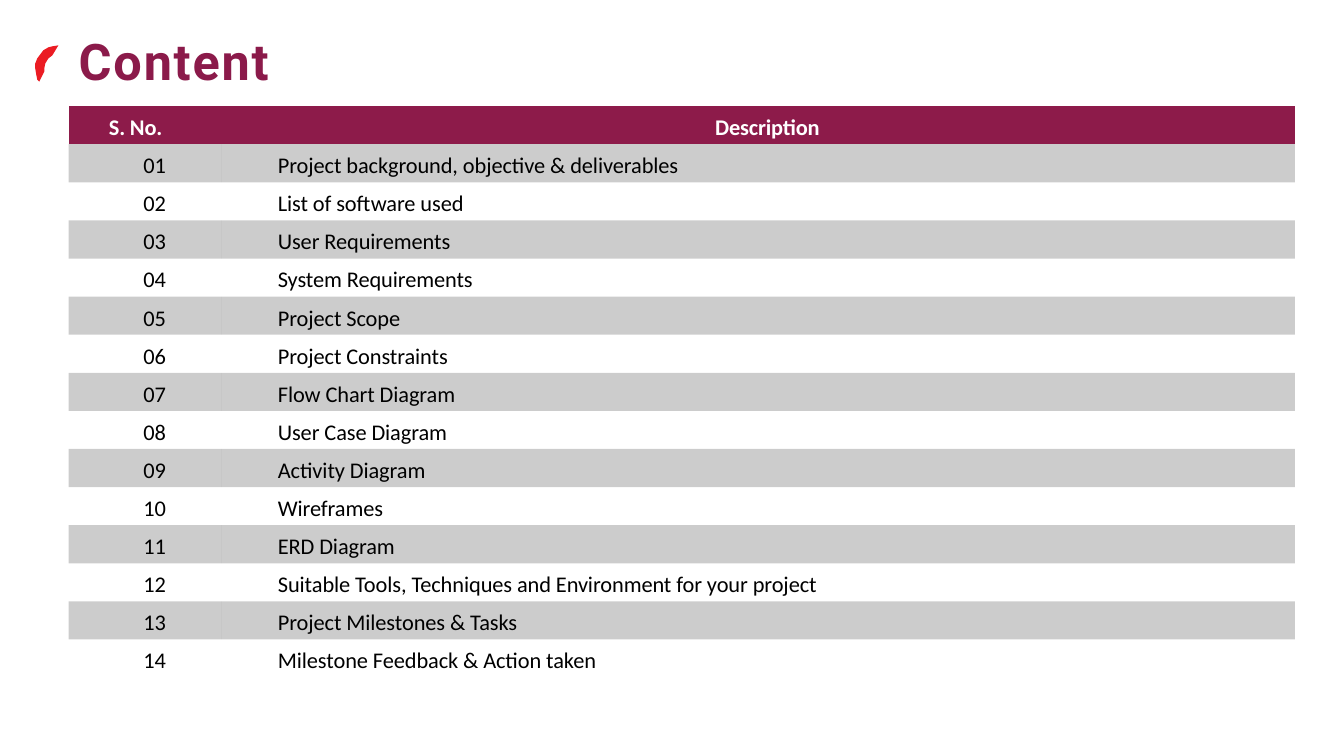
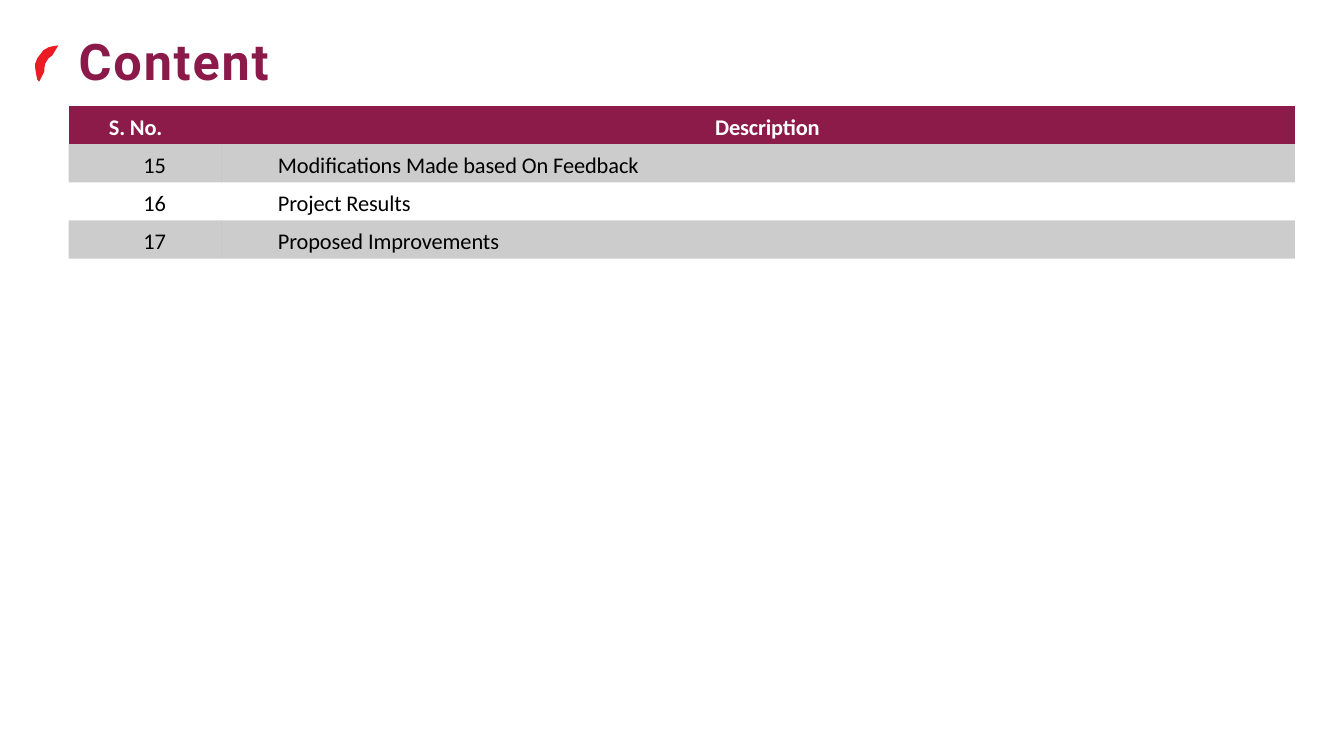
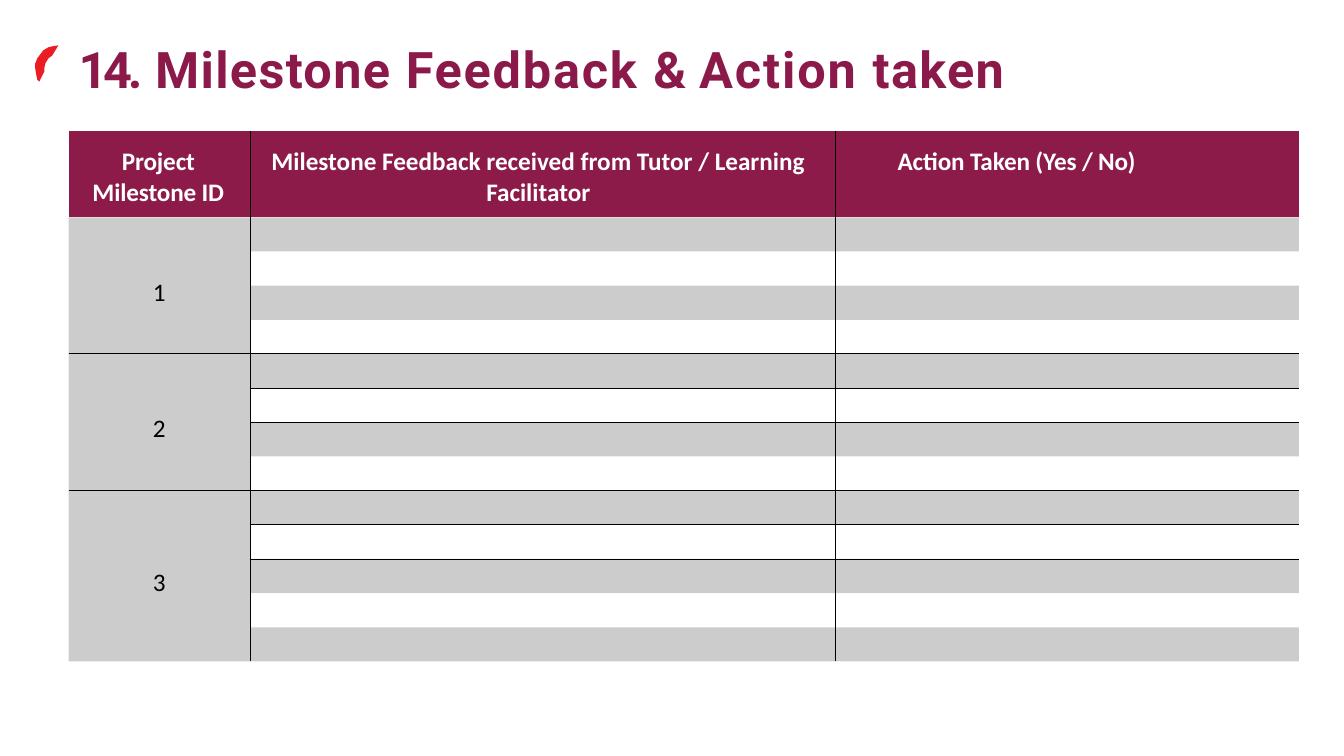
from lxml import etree
from pptx import Presentation
from pptx.dml.color import RGBColor
from pptx.enum.text import MSO_ANCHOR, PP_ALIGN
from pptx.oxml.ns import qn
from pptx.util import Pt

LEFT, CENTER, RIGHT = PP_ALIGN.LEFT, PP_ALIGN.CENTER, PP_ALIGN.RIGHT
TOP, MIDDLE = MSO_ANCHOR.TOP, MSO_ANCHOR.MIDDLE

# Style
TITLE_COLOR, HEADER, MARK = "8B1A4A", "8D1B4A", "EB1C23"
BLACK, WHITE = "000000", "FFFFFF"
TITLE_FONT, BODY_FONT = "Roboto", "Calibri"
BAND_ALPHA = 20
BORDER = 0.75
NO_STYLE = "{2D5ABB26-0587-4C30-8999-92F81FD0307C}"
TABLE_LEFT = 49

# Outline of the red mark beside each title, in inches
MARK_POINTS = [
    (0.58, 0.45), (0.52, 0.46), (0.48, 0.47), (0.43, 0.5), (0.4, 0.54),
    (0.37, 0.58), (0.35, 0.63), (0.35, 0.68), (0.36, 0.74), (0.37, 0.79),
    (0.39, 0.81), (0.44, 0.71), (0.44, 0.68), (0.45, 0.63), (0.48, 0.58),
    (0.52, 0.55),
]

CONTENT = [
    "Project background, objective & deliverables",
    "List of software used",
    "User Requirements",
    "System Requirements",
    "Project Scope",
    "Project Constraints",
    "Flow Chart Diagram",
    "User Case Diagram",
    "Activity Diagram",
    "Wireframes",
    "ERD Diagram",
    "Suitable Tools, Techniques and Environment for your project",
    "Project Milestones & Tasks",
    "Milestone Feedback & Action taken",
    "Modifications Made based On Feedback",
    "Project Results",
    "Proposed Improvements",
]
FIRST_PAGE = 14


def rgb(color):
    return RGBColor.from_string(color)


class Deck:
    def __init__(self):
        self.prs = Presentation()
        self.prs.slide_width, self.prs.slide_height = Pt(960), Pt(540)
        self.s = None

    def slide(self, title, top_inset=0.75):
        """Start a slide with its mark and title; title is (text, spacing) runs."""
        self.s = self.prs.slides.add_slide(self.prs.slide_layouts[6])
        self.mark()
        self.title(title, top_inset)

    def mark(self):
        pts = [(Pt(72 * x), Pt(72 * y)) for x, y in MARK_POINTS]
        fb = self.s.shapes.build_freeform(*pts[0])
        fb.add_line_segments(pts[1:], close=True)
        sp = fb.convert_to_shape()
        sp.shadow.inherit = False
        sp.fill.solid()
        sp.fill.fore_color.rgb = rgb(MARK)
        sp.line.fill.background()

    def title(self, runs, top_inset):
        sp = self.s.shapes.add_textbox(Pt(56.2), Pt(21), Pt(849), Pt(50))
        tf = sp.text_frame
        tf.word_wrap = True
        tf.margin_left = tf.margin_right = tf.margin_bottom = 0
        tf.margin_top = Pt(top_inset)
        p = tf.paragraphs[0]
        p.space_before = Pt(1)
        for text, spacing in runs:
            r = p.add_run()
            r.text = text
            self.font(r, TITLE_FONT, 36, TITLE_COLOR, True, spacing)

    def font(self, r, name, size, color, bold, spacing):
        r.font.name, r.font.size, r.font.bold = name, Pt(size), bold
        r.font.color.rgb = rgb(color)
        r.font._element.set("spc", str(round(spacing * 100)))

    def table(self, top, widths, heights):
        """Add an unstyled table whose cells have no margins."""
        frame = self.s.shapes.add_table(
            len(heights), len(widths), Pt(TABLE_LEFT), Pt(top),
            Pt(sum(widths)), Pt(sum(heights)))
        tbl = frame.table
        tbl.first_row = tbl.horz_banding = False
        tbl._tbl.tblPr.find(qn("a:tableStyleId")).text = NO_STYLE
        for col, width in zip(tbl.columns, widths):
            col.width = Pt(width)
        for row, height in zip(tbl.rows, heights):
            row.height = Pt(height)
        for cell in tbl.iter_cells():
            cell.margin_left = cell.margin_right = 0
            cell.margin_top = cell.margin_bottom = 0
        return tbl

    def cell(self, cell, text, size, align=LEFT, left=0, right=0, top=0,
             color=BLACK, bold=False, anchor=TOP, spacing=-0.05):
        cell.margin_left, cell.margin_right = Pt(left), Pt(right)
        cell.margin_top, cell.vertical_anchor = Pt(top), anchor
        p = cell.text_frame.paragraphs[0]
        p.text, p.alignment = text, align
        self.font(p.runs[0], BODY_FONT, size, color, bold, spacing)

    def borders(self, cell, sides):
        """Draw thin black lines; call before filling the cell."""
        tcPr = cell._tc.get_or_add_tcPr()
        for side in "LRTB":
            if side in sides:
                ln = etree.SubElement(tcPr, qn(f"a:ln{side}"), w=str(Pt(BORDER)))
                fill = etree.SubElement(ln, qn("a:solidFill"))
                etree.SubElement(fill, qn("a:srgbClr"), val=BLACK)

    def fill(self, cell, row):
        """Header colour on row 0, then translucent bands on odd rows."""
        if row and row % 2 == 0:
            cell.fill.background()
            return
        cell.fill.solid()
        cell.fill.fore_color.rgb = rgb(BLACK if row else HEADER)
        if row:
            clr = cell._tc.tcPr.find(qn("a:solidFill")).find(qn("a:srgbClr"))
            etree.SubElement(clr, qn("a:alpha"), val=str(BAND_ALPHA * 1000))

    def content_table(self, items, first):
        tbl = self.table(75.8, [109.5, 766.5], [27.22] * (len(items) + 1))
        head = dict(size=16, top=5.8, color=WHITE, bold=True, spacing=-0.1)
        self.cell(tbl.cell(0, 0), "S. No.", align=RIGHT, right=42.5, **head)
        self.cell(tbl.cell(0, 1), "Description", align=CENTER, left=13, **head)
        for i, item in enumerate(items, 1):
            number = f"{first + i - 1:02d}"
            self.cell(tbl.cell(i, 0), number, 16, RIGHT, right=40, top=5.8)
            self.cell(tbl.cell(i, 1), item, 16, left=40, top=5.8)
        for row in range(len(items) + 1):
            for col in range(2):
                self.fill(tbl.cell(row, col), row)

    def milestone_table(self, group_sizes):
        rows = sum(group_sizes) + 1
        tbl = self.table(93.6, [129.6, 417.8, 331.4], [61.6] + [24.42] * (rows - 1))

        # Header
        head = dict(size=18, top=10.9, color=WHITE, bold=True)
        self.cell(tbl.cell(0, 0), "Project Milestone ID", align=CENTER,
                  right=1.5, spacing=-0.1, **head)
        self.cell(tbl.cell(0, 1),
                  "Milestone Feedback received from Tutor / Learning Facilitator",
                  align=CENTER, right=6, spacing=0, **head)
        self.cell(tbl.cell(0, 2), "Action Taken (Yes / No)", left=44.8,
                  spacing=-0.1, **head)

        # Milestone groups
        starts, start = [], 1
        for number, size in enumerate(group_sizes, 1):
            cell = tbl.cell(start, 0)
            cell.merge(tbl.cell(start + size - 1, 0))
            self.cell(cell, str(number), 18, CENTER, top=10, anchor=MIDDLE)
            starts.append(start)
            start += size

        # Lines above each later group and below its first row
        group_tops = starts[1:]
        ruled = group_tops + [top + 1 for top in group_tops]
        for row in range(rows):
            for col in range(3):
                cell = tbl.cell(row, col)
                sides = ("R", "LR", "L")[col]
                tops = ruled if col else group_tops
                last = row
                if cell.is_merge_origin:
                    last += cell.span_height - 1
                if row in tops:
                    sides += "T"
                if last + 1 in tops:
                    sides += "B"
                self.borders(cell, sides)
                # A merged cell takes the shade of a band throughout
                self.fill(cell, 1 if row and col == 0 else row)


def main():
    deck = Deck()

    # Content, two pages
    for first, items in ((1, CONTENT[:FIRST_PAGE]),
                         (FIRST_PAGE + 1, CONTENT[FIRST_PAGE:])):
        deck.slide([("Content", 1.3)])
        deck.content_table(items, first)

    # Milestone feedback
    deck.slide([("14.", -3.1), (" ", 0), ("Milestone ", 1), ("Feedback ", 1.3),
                ("& ", 0), ("Action ", 1.4), ("taken", 1)], top_inset=6.5)
    deck.milestone_table([4, 4, 5])

    deck.prs.save("out.pptx")


if __name__ == "__main__":
    main()
